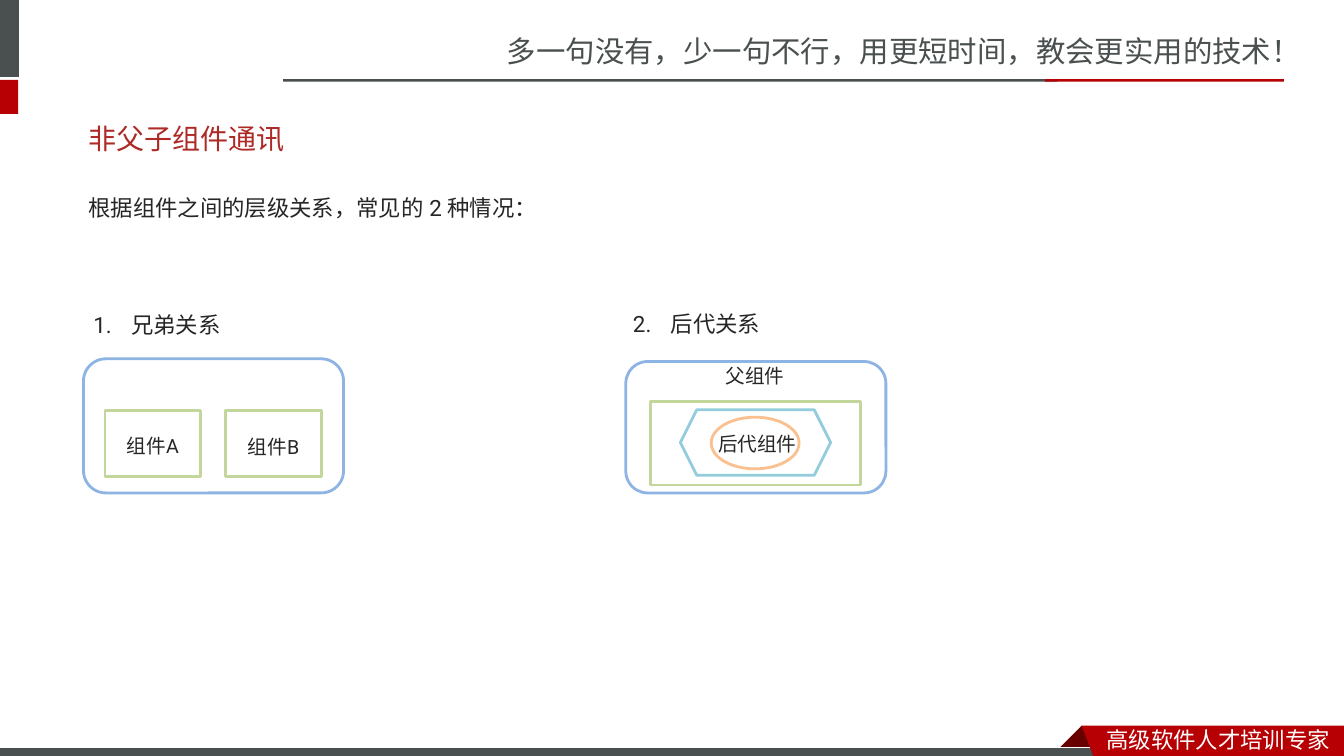
from lxml.etree import SubElement
from pptx import Presentation
from pptx.dml.color import RGBColor
from pptx.enum.shapes import MSO_SHAPE
from pptx.enum.text import MSO_ANCHOR, PP_ALIGN
from pptx.oxml.ns import qn
from pptx.util import Pt

COLORS = {
    "gray": "49504F", "red": "B60004", "dark_red": "680000", "title": "AD2A26",
    "text": "262626", "white": "FFFFFF", "blue": "8EB4E3", "green": "C3D69B",
    "teal": "93CDDD", "orange": "FAC090",
}
CJK = "Noto Sans CJK SC"
BODY = "Roboto"


def paint(sp, fill, line=None, width=2):
    sp.shadow.inherit = False
    sp.fill.solid()
    sp.fill.fore_color.rgb = RGBColor.from_string(COLORS[fill])
    if line:
        sp.line.color.rgb = RGBColor.from_string(COLORS[line])
        sp.line.width = Pt(width)
    else:
        sp.line.fill.background()


def add_block(shapes, kind, box, fill, line=None, width=2):
    sp = shapes.add_shape(kind, *map(Pt, box))
    paint(sp, fill, line, width)
    return sp


def add_outline(shapes, points, fill):
    builder = shapes.build_freeform(Pt(points[0][0]), Pt(points[0][1]), scale=1.0)
    builder.add_line_segments([(Pt(x), Pt(y)) for x, y in points[1:]], close=True)
    paint(builder.convert_to_shape(), fill)


def add_text(shapes, box, text, size, color="text", font=BODY,
             align=PP_ALIGN.LEFT, anchor=MSO_ANCHOR.TOP):
    tf = shapes.add_textbox(*map(Pt, box)).text_frame
    tf.word_wrap = True
    tf.vertical_anchor = anchor
    p = tf.paragraphs[0]
    p.alignment = align
    r = p.add_run()
    r.text = text
    r.font.size = Pt(size)
    r.font.name = font
    r.font.color.rgb = RGBColor.from_string(COLORS[color])
    SubElement(r.font._element, qn("a:ea")).set("typeface", font)
    return p


def add_numbered(shapes, box, text, number):
    pPr = add_text(shapes, box, text, 16)._p.get_or_add_pPr()
    pPr.set("marL", str(Pt(27)))
    pPr.set("indent", str(-Pt(27)))
    bullet = SubElement(pPr, qn("a:buAutoNum"))
    bullet.set("type", "arabicPeriod")
    bullet.set("startAt", str(number))


def draw_header(shapes, x, y, w, h):
    # Slogan with its two-colour rule
    add_text(shapes, (x + 355, y + 20, 605, 34),
             "多一句没有，少一句不行，用更短时间，教会更实用的技术！", 21, "gray", CJK)
    # Side tabs and rule
    for box, color in (
        ((x - 4.5, y, 18, h - 26.5), "gray"),
        ((x - 4.5, y + 57, 17.5, h - 57), "red"),
        ((x + 202.3, y + 56.6, 553, 1.7), "gray"),
        ((x + 746.6, y + 56.6, 170.6, 1.7), "red"),
    ):
        add_block(shapes, MSO_SHAPE.RECTANGLE, box, color)


def draw_footer(shapes, x, y, w, h):
    right, fold = x + w, x + 772.6
    # Folded corner behind the bar
    add_outline(shapes, [(fold, y), (fold + 16, y + 16), (fold + 15, y + 16.6),
                         (fold - 15, y + 16.6), (fold - 16, y + 16)], "dark_red")
    add_block(shapes, MSO_SHAPE.RECTANGLE, (x - 0.7, y + 15.3, 792, 8.6),
              "gray", "white", 0.75)
    # Ribbon
    add_outline(shapes, [(fold, y), (right, y), (right, y + h),
                         (fold + 9.4, y + h)], "red")
    add_text(shapes, (x + 783.4, y - 3.6, 176.6, 26.6),
             "高级软件人才培训专家", 16, "white", CJK)


def draw_intro(shapes, x, y, w, h):
    p = add_text(shapes, (x, y + 46.8, w, h - 46.8),
                 "根据组件之间的层级关系，常见的 2 种情况：", 16)
    p.line_spacing = 1.5
    add_text(shapes, (x, y, w, 41), "非父子组件通讯", 20, "title",
             anchor=MSO_ANCHOR.MIDDLE)


def draw_siblings(shapes, x, y, w, h):
    add_numbered(shapes, (x, y, w, 26.6), "兄弟关系", 1)
    add_block(shapes, MSO_SHAPE.ROUNDED_RECTANGLE, (x, y + 37.4, w, h - 37.4),
              "white", "blue")
    for i, name in enumerate(("组件A", "组件B")):
        left = x + 15.4 + 86.2 * i
        add_block(shapes, MSO_SHAPE.RECTANGLE, (left, y + 74.2, 68.5, 47.5),
                  "white", "green")
        add_text(shapes, (left + 5.7, y + 87.3 + i, 57, 24.5), name, 14,
                 align=PP_ALIGN.CENTER)


def draw_descendants(shapes, x, y, w, h):
    # Nested outlines, outermost first
    for kind, dx, dy, bw, bh, line in (
        (MSO_SHAPE.ROUNDED_RECTANGLE, 0, 40, w, h - 40, "blue"),
        (MSO_SHAPE.RECTANGLE, 17.5, 68.4, 150, 59.8, "green"),
        (MSO_SHAPE.HEXAGON, 39, 74.5, 107.3, 46.8, "teal"),
        (MSO_SHAPE.OVAL, 61, 79.8, 62.8, 36.9, "orange"),
    ):
        add_block(shapes, kind, (x + dx, y + dy, bw, bh), "white", line)
    # Labels
    for name, dx, dy, bw in (("后代组件", 58.5, 87, 71), ("父组件", 53.5, 38.2, 77.8)):
        add_text(shapes, (x + dx, y + dy, bw, 24.5), name, 14,
                 align=PP_ALIGN.CENTER)
    add_numbered(shapes, (x - 2, y, w, 26.6), "后代关系", 2)


def main():
    prs = Presentation()
    prs.slide_width, prs.slide_height = Pt(960), Pt(540)
    s = prs.slides.add_slide(prs.slide_layouts[6])
    draw_header(s.shapes, 0, 0, 960, 81.4)
    draw_footer(s.shapes, 0, 518.4, 960, 24.2)
    draw_intro(s.shapes, 56.2, 78.5, 843.8, 405.5)
    draw_siblings(s.shapes.add_group_shape().shapes, 59.6, 218.9, 185.8, 133.2)
    draw_descendants(s.shapes.add_group_shape().shapes, 447, 218.2, 185.8, 133.9)
    prs.save("out.pptx")


if __name__ == "__main__":
    main()
